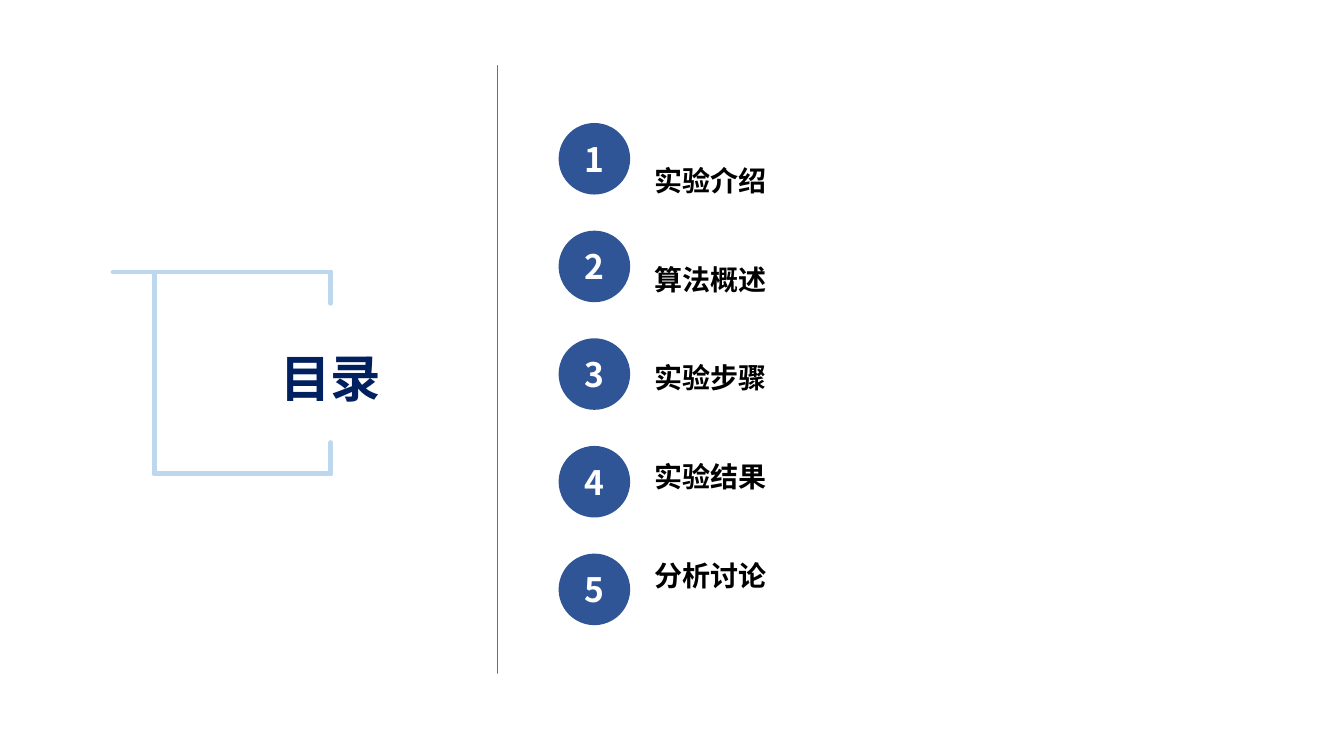
from lxml.etree import SubElement
from pptx import Presentation
from pptx.dml.color import RGBColor
from pptx.enum.shapes import MSO_CONNECTOR as Link, MSO_SHAPE as Shape
from pptx.enum.text import MSO_ANCHOR as Anchor, MSO_AUTO_SIZE as Fit, PP_ALIGN as Align
from pptx.oxml.ns import qn
from pptx.util import Inches, Pt

NAVY = RGBColor(0x00, 0x20, 0x60)
BLUE = RGBColor(0x2F, 0x55, 0x97)
RULE = RGBColor(0x44, 0x72, 0xC4)
PALE = RGBColor(0xBD, 0xD7, 0xEE)
WHITE = RGBColor(0xFF, 0xFF, 0xFF)
BLACK = RGBColor(0x00, 0x00, 0x00)

FONT = "Noto Sans CJK SC"
CELL = Inches(0.1)  # side of one square of the layout grid
TOPICS = ["实验介绍", "算法概述", "实验步骤", "实验结果", "分析讨论"]
STEP = 10.68  # rows from one topic to the next
LINE = 36.2  # points taken by one topic line
GAP = STEP * 7.2 - LINE  # points between topic lines


def cells(*nums):
    """Turn columns and rows of the grid into lengths."""
    return [round(num * CELL) for num in nums]


class Page:
    """Draws styled elements on one slide."""

    def __init__(self, deck):
        self.slide = deck.slides.add_slide(deck.slide_layouts[1])
        self.shapes = self.slide.shapes

    def label(self, frame, lines, size, color, gap=0, **form):
        frame.auto_size = Fit.NONE
        frame.word_wrap = True
        frame.vertical_anchor = Anchor.MIDDLE
        for row, text in enumerate(lines):
            para = frame.add_paragraph() if row else frame.paragraphs[0]
            look = {"space_before": Pt(gap if row else 0), "space_after": Pt(0), **form}
            for key, value in look.items():
                setattr(para, key, value)
            props = para._p.get_or_add_pPr()
            props.set("marL", "0")
            props.set("indent", "0")
            SubElement(props, qn("a:buNone"))
            run = para.add_run()
            run.text = text
            for key, value in {"name": FONT, "size": Pt(size), "bold": True}.items():
                setattr(run.font, key, value)
            run.font.color.rgb = color
            SubElement(run._r.get_or_add_rPr(), qn("a:ea"), typeface=FONT)

    def fill(self, slot, box, lines, size, color, **form):
        """Move a template placeholder to box and set its lines."""
        holder = self.slide.placeholders[slot]
        for key, value in zip(("left", "top", "width", "height"), cells(*box)):
            setattr(holder, key, value)
        self.label(holder.text_frame, lines, size, color, line_spacing=1.25, **form)

    def line(self, ends, color, width, group=None):
        shapes = group.shapes if group else self.shapes
        link = shapes.add_connector(Link.STRAIGHT, *cells(*ends))
        link.line.color.rgb = color
        link.line.width = Pt(width)
        link._element.spPr.find(qn("a:ln")).set("cap", "rnd")
        SubElement(link._element.spPr, qn("a:effectLst"))

    def badge(self, left, top, side, text):
        disc = self.shapes.add_shape(Shape.OVAL, *cells(left, top, side, side))
        disc.shadow.inherit = False
        disc.fill.solid()
        disc.fill.fore_color.rgb = BLUE
        disc.line.fill.background()
        self.label(disc.text_frame, [text], 24, WHITE, alignment=Align.CENTER)

    def frame(self, tail, left, top, right, base, lip):
        """Draw an open box whose top edge sticks out left to tail."""
        group = self.shapes.add_group_shape()
        for ends in [
            (tail, top, right, top),
            (left, base, right, base),
            (left, top, left, base),
            (right, top, right, top + lip),
            (right, base - lip, right, base),
        ]:
            self.line(ends, PALE, 3.25, group)


def main():
    deck = Presentation()
    deck.slide_width, deck.slide_height = Inches(13.33), Inches(7.5)
    page = Page(deck)
    page.fill(0, (19, 32.6, 27.6, 8.1), ["目录"], 36, NAVY, alignment=Align.CENTER)
    page.fill(1, (63.9, 13.3, 46.6, 4 * STEP + 4.8), TOPICS, 20, BLACK,
              gap=GAP, alignment=Align.LEFT)
    page.line((49.3, 6.5, 49.3, 66.8), RULE, 0.5)
    page.frame(tail=11.2, left=15.3, top=27, right=32.8, base=47, lip=3.1)
    for row in range(len(TOPICS)):
        page.badge(55.4, 12.2 + row * STEP, 7.1, str(row + 1))
    deck.save("out.pptx")


if __name__ == "__main__":
    main()
